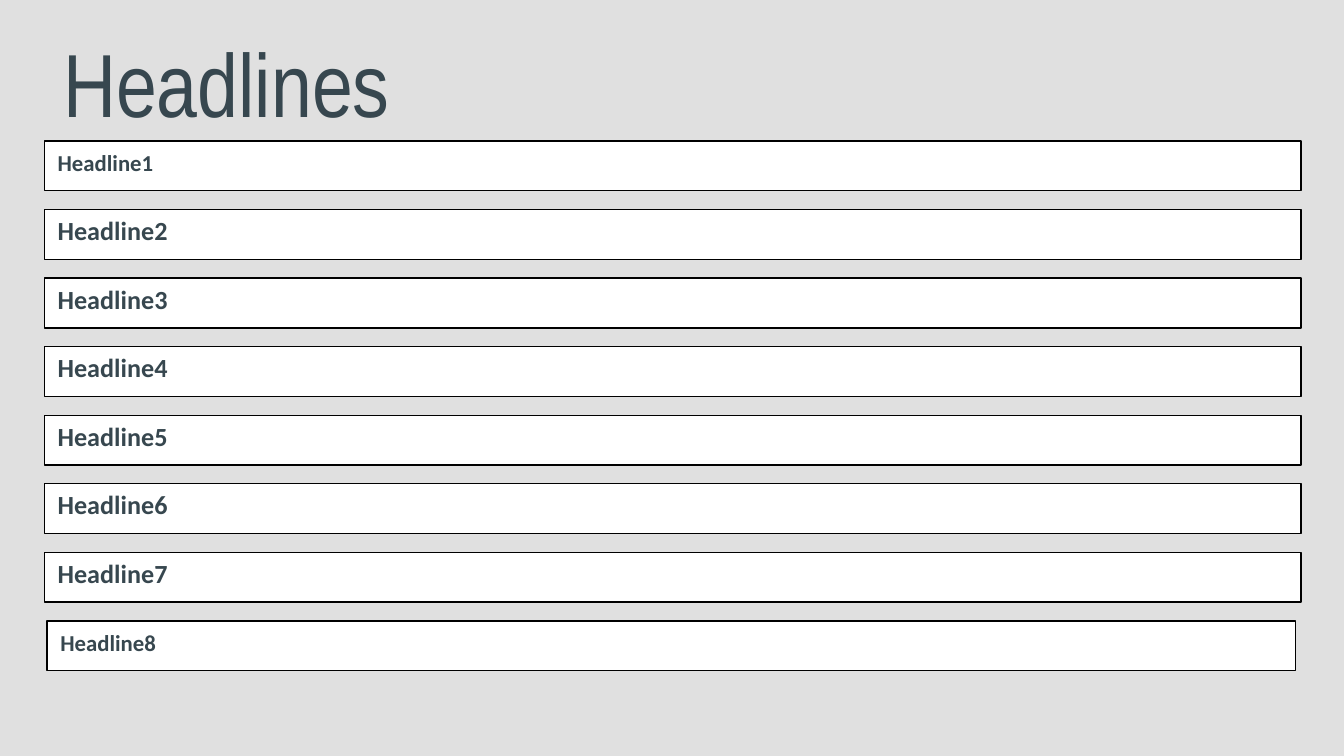
"""Build a slide listing eight headlines in evenly spaced bars."""
from dataclasses import dataclass

from pptx import Presentation
from pptx.dml.color import RGBColor
from pptx.enum.shapes import MSO_SHAPE
from pptx.enum.text import MSO_ANCHOR, MSO_AUTO_SIZE, PP_ALIGN
from pptx.slide import Slide
from pptx.text.text import TextFrame
from pptx.util import Pt

RECTANGLE = MSO_SHAPE.RECTANGLE
TOP, MIDDLE = MSO_ANCHOR.TOP, MSO_ANCHOR.MIDDLE
LEFT = PP_ALIGN.LEFT
NO_AUTOFIT = MSO_AUTO_SIZE.NONE

COLORS = {"background": "E0E0E0", "text": "37474F", "bar": "FFFFFF", "border": "000000"}
INSET = 7.2
FIRST_TOP, PITCH, BAR_HEIGHT = 75.6, 36.72, 26.64


@dataclass
class Bar:
    text: str
    left: float = 23.76
    width: float = 673.2
    size: float = 14
    spacing: float = 0.7


BARS = [
    Bar("Headline1", size=12.2, spacing=0.8),
    *(Bar(f"Headline{n}") for n in range(2, 8)),
    Bar("Headline8", left=25.2, width=668.88, size=12.2, spacing=0.8),
]


def color(name: str) -> RGBColor:
    """Return a palette colour."""
    return RGBColor.from_string(COLORS[name])


def write(tf: TextFrame, text: str, font: str, size: float, bold: bool,
          anchor: MSO_ANCHOR, spacing: float) -> None:
    """Fill a text frame with one left-aligned run."""
    tf.word_wrap = True
    tf.auto_size = NO_AUTOFIT
    tf.vertical_anchor = anchor
    tf.margin_left = tf.margin_right = tf.margin_top = tf.margin_bottom = Pt(INSET)
    p = tf.paragraphs[0]
    p.alignment = LEFT
    p.line_spacing = spacing
    p.space_before = Pt(0)
    r = p.add_run()
    r.text = text
    r.font.name = font
    r.font.size = Pt(size)
    r.font.bold = bold
    r.font.color.rgb = color("text")


def add_title(s: Slide, text: str) -> None:
    """Place and format the title placeholder."""
    sp = s.shapes.title
    sp.left, sp.top, sp.width, sp.height = Pt(26.64), Pt(5.04), Pt(490.32), Pt(77.76)
    write(sp.text_frame, text, "Arial Narrow", 48, False, MIDDLE, 1.0)


def add_bar(s: Slide, bar: Bar, top: float) -> None:
    """Draw one headline bar."""
    sp = s.shapes.add_shape(RECTANGLE, Pt(bar.left), Pt(top), Pt(bar.width), Pt(BAR_HEIGHT))
    sp.shadow.inherit = False
    sp.fill.solid()
    sp.fill.fore_color.rgb = color("bar")
    sp.line.color.rgb = color("border")
    sp.line.width = Pt(0.75)
    write(sp.text_frame, bar.text, "Calibri", bar.size, True, TOP, bar.spacing)


def main() -> None:
    """Build and save the presentation."""
    prs = Presentation()
    prs.slide_width, prs.slide_height = Pt(720), Pt(405)
    s = prs.slides.add_slide(prs.slide_layouts.get_by_name("Title Only"))
    s.background.fill.solid()
    s.background.fill.fore_color.rgb = color("background")
    add_title(s, "Headlines")
    for i, bar in enumerate(BARS):
        add_bar(s, bar, FIRST_TOP + i * PITCH)
    prs.save("out.pptx")


if __name__ == "__main__":
    main()
